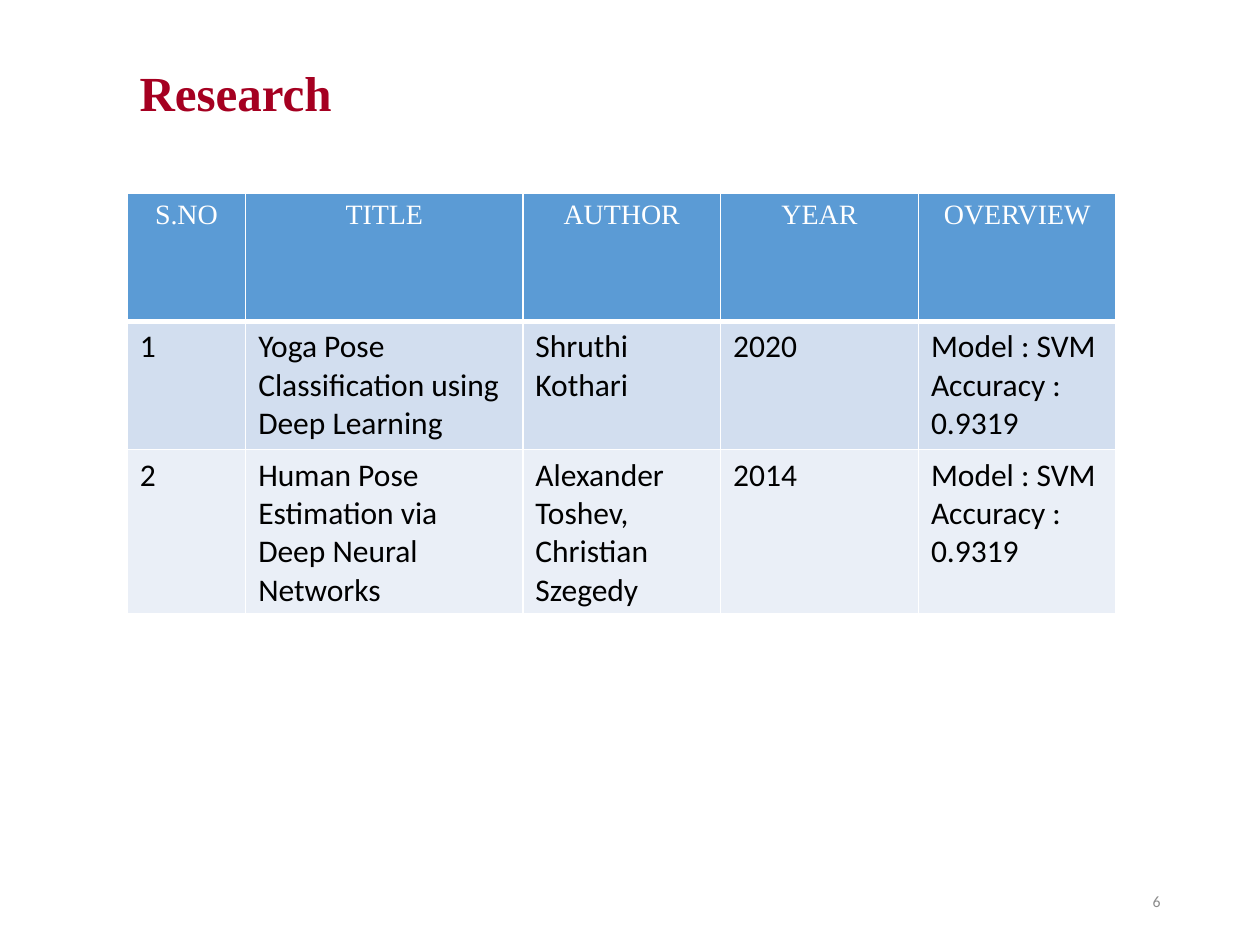
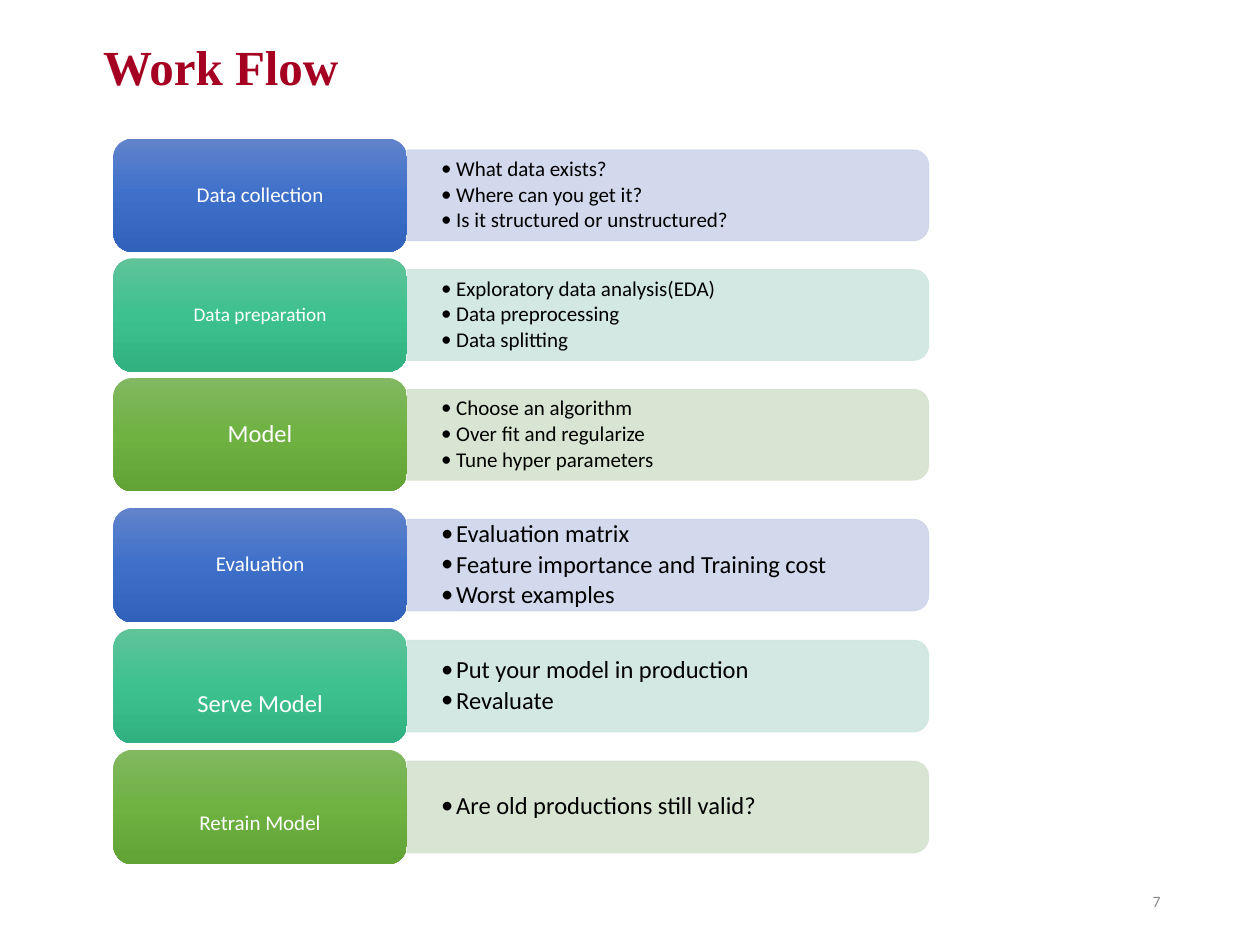
from pptx import Presentation
from pptx.dml.color import RGBColor
from pptx.enum import shapes, text
from pptx.oxml import parse_xml
from pptx.oxml.ns import nsdecls, qn
from pptx.util import Inches, Pt

# Shared look
COLORS = {
    "title": "A50021", "page": "8C8C8C", "white": "FFFFFF", "black": "000000",
    "header": "5B9BD5", "band_dark": "D2DEEF", "band_light": "EAEFF7",
}
SERIF, SANS = "Times New Roman", "Calibri"

# Research slide
COLUMN_WIDTHS = [0.94, 2.2, 1.57, 1.57, 1.57]
ROW_HEIGHT = 1.02
PAPERS = [
    ["S.NO", "TITLE", "AUTHOR", "YEAR", "OVERVIEW"],
    ["1", "Yoga Pose Classification using Deep Learning", "Shruthi Kothari",
     "2020", "Model : SVM\nAccuracy : 0.9319"],
    ["2", "Human Pose Estimation via Deep Neural Networks",
     "Alexander Toshev,\nChristian Szegedy", "2014",
     "Model : SVM\nAccuracy : 0.9319"],
]

# Work flow slide: each theme is three gradient stops and a bar colour
THEMES = [
    (("6183CB", "3E70CA", "3062BB"), "CFD5EA"),
    (("60C39A", "3DC18F", "31B080"), "CFE6E0"),
    (("81B861", "6FB242", "62A336"), "D5E3CF"),
]
# Each stage: label, label size, drop of the label, bullets
STAGE_GROUPS = [
    {"top": 1.1, "height": 0.9, "bullet_size": 12, "stages": [
        ("Data collection", 12, 0, ["What data exists?", "Where can you get it?",
                                    "Is it structured or unstructured?"]),
        ("Data preparation", 11, 0, ["Exploratory data analysis(EDA)",
                                     "Data preprocessing", "Data splitting"]),
        ("Model", 14, 0, ["Choose an algorithm", "Over fit and regularize",
                          "Tune hyper parameters"]),
    ]},
    {"top": 4.03, "height": 0.91, "bullet_size": 14, "stages": [
        ("Evaluation", 12, 0, ["Evaluation matrix",
                               "Feature importance and Training cost",
                               "Worst examples"]),
        ("Serve Model", 14, 0.15, ["Put your model in production", "Revaluate"]),
        ("Retrain Model", 12, 0.13, ["Are old productions still valid?"]),
    ]},
]
STAGE_GAP = 0.05
LABEL_LEFT, LABEL_WIDTH = 0.9, 2.33
BAR_LEFT, BAR_LENGTH = LABEL_LEFT + LABEL_WIDTH, 4.14


def rgb(value):
    return RGBColor.from_string(value)


def style(frame, size, font, color, bold=False, align=None, spacing=None, after=0):
    """Format every paragraph and run of a text frame."""
    for paragraph in frame.paragraphs:
        paragraph.alignment = align
        paragraph.line_spacing = spacing
        paragraph.space_after = Pt(after)
        for run in paragraph.runs:
            run.font.size, run.font.name, run.font.bold = Pt(size), font, bold
            run.font.color.rgb = rgb(color)


def add_text(slide, words, left, top, width, height):
    box = slide.shapes.add_textbox(*map(Inches, (left, top, width, height)))
    frame = box.text_frame
    frame.word_wrap = True
    frame.vertical_anchor = text.MSO_ANCHOR.MIDDLE
    frame.text = words
    return frame


def add_page(prs, title, left, top, number):
    slide = prs.slides.add_slide(prs.slide_layouts[6])
    page = add_text(slide, str(number), 7.06, 6.95, 2.25, 0.4)
    style(page, 9, SANS, COLORS["page"], align=text.PP_ALIGN.RIGHT)
    heading = add_text(slide, title, left, top, 6.65, 0.63)
    style(heading, 28, SERIF, COLORS["title"], bold=True, spacing=1.07, after=4.5)
    return slide


def add_borders(cell, bottom):
    for side, points in (("L", 1), ("R", 1), ("T", 1), ("B", bottom)):
        cell._tc.get_or_add_tcPr().append(parse_xml(
            f'<a:ln{side} {nsdecls("a")} w="{Pt(points)}"><a:solidFill>'
            f'<a:srgbClr val="{COLORS["white"]}"/></a:solidFill></a:ln{side}>'))


def add_papers_table(slide):
    table = slide.shapes.add_table(
        len(PAPERS), len(COLUMN_WIDTHS), Inches(1.01), Inches(1.53),
        Inches(sum(COLUMN_WIDTHS)), Inches(ROW_HEIGHT * len(PAPERS))).table
    for column, width in zip(table.columns, COLUMN_WIDTHS):
        column.width = Inches(width)
    for r, (paper, band) in enumerate(zip(PAPERS, ("header", "band_dark", "band_light"))):
        table.rows[r].height = Inches(ROW_HEIGHT)
        for c, words in enumerate(paper):
            cell = table.cell(r, c)
            add_borders(cell, bottom=3 if r == 0 else 1)
            cell.fill.solid()
            cell.fill.fore_color.rgb = rgb(COLORS[band])
            cell.text_frame.text = words
            if r == 0:
                style(cell.text_frame, 16, SERIF, COLORS["white"],
                      align=text.PP_ALIGN.CENTER)
            else:
                style(cell.text_frame, 18, SANS, COLORS["black"])


def add_bar(slide, middle, height, color):
    """A bar rounded at its right end: a top-rounded shape turned by 90 degrees."""
    bar = slide.shapes.add_shape(
        shapes.MSO_SHAPE.ROUND_2_SAME_RECTANGLE,
        Inches(BAR_LEFT + (BAR_LENGTH - height) / 2), Inches(middle - BAR_LENGTH / 2),
        Inches(height), Inches(BAR_LENGTH))
    bar.rotation = 90
    bar.shadow.inherit = False
    bar.fill.solid()
    bar.fill.fore_color.rgb = rgb(color)
    bar.line.color.rgb = rgb(color)
    bar.line.width = Pt(0.5)
    for shade in bar._element.spPr.iter(qn("a:srgbClr")):
        shade.append(parse_xml(f'<a:alpha {nsdecls("a")} val="90000"/>'))


def add_bullets(slide, bullets, middle, height, size):
    frame = add_text(slide, "\n".join(bullets), BAR_LEFT, middle - height / 2, 4.11, height)
    frame.margin_left = frame.margin_right = Inches(0.27)
    frame.margin_top = frame.margin_bottom = 0
    style(frame, size, SANS, COLORS["black"], spacing=0.9, after=0.15 * size)
    for paragraph in frame.paragraphs:
        props = paragraph._p.get_or_add_pPr()
        props.set("marL", str(Inches(0.12)))
        props.set("indent", str(-Inches(0.12)))
        props.append(parse_xml(f'<a:buFont {nsdecls("a")} typeface="{SANS}"/>'))
        props.append(parse_xml(f'<a:buChar {nsdecls("a")} char="•"/>'))


def add_label(slide, words, size, drop, top, height, stops):
    label = slide.shapes.add_shape(
        shapes.MSO_SHAPE.ROUNDED_RECTANGLE,
        *map(Inches, (LABEL_LEFT, top, LABEL_WIDTH, height)))
    label.shadow.inherit = False
    label.line.fill.background()
    label.fill.gradient()
    label.fill.gradient_angle = 270
    stop_list = label._element.spPr.find(qn("a:gradFill")).find(qn("a:gsLst"))
    for old_stop in list(stop_list):
        stop_list.remove(old_stop)
    for i, color in enumerate(stops):
        stop_list.append(parse_xml(
            f'<a:gs {nsdecls("a")} pos="{i * 50000}"><a:srgbClr val="{color}"/></a:gs>'))
    frame = label.text_frame
    frame.word_wrap = True
    frame.vertical_anchor = text.MSO_ANCHOR.MIDDLE
    frame.margin_top, frame.margin_bottom = Inches(0.03 + 2 * drop), Inches(0.03)
    frame.text = words
    style(frame, size, SANS, COLORS["white"], align=text.PP_ALIGN.CENTER, spacing=0.9)


def add_stages(slide):
    for group in STAGE_GROUPS:
        height = group["height"]
        bar_height = 0.8 * height
        for i, (stage, (stops, bar_color)) in enumerate(zip(group["stages"], THEMES)):
            label, size, drop, bullets = stage
            top = group["top"] + i * (height + STAGE_GAP)
            middle = top + height / 2
            add_bar(slide, middle, bar_height, bar_color)
            add_bullets(slide, bullets, middle, bar_height, group["bullet_size"])
            add_label(slide, label, size, drop, top, height, stops)


def main():
    prs = Presentation()
    prs.slide_width, prs.slide_height = Inches(10), Inches(7.5)
    add_papers_table(add_page(prs, "Research", 1.01, 0.4, 6))
    add_stages(add_page(prs, "Work Flow", 0.72, 0.19, 7))
    prs.save("out.pptx")


if __name__ == "__main__":
    main()
